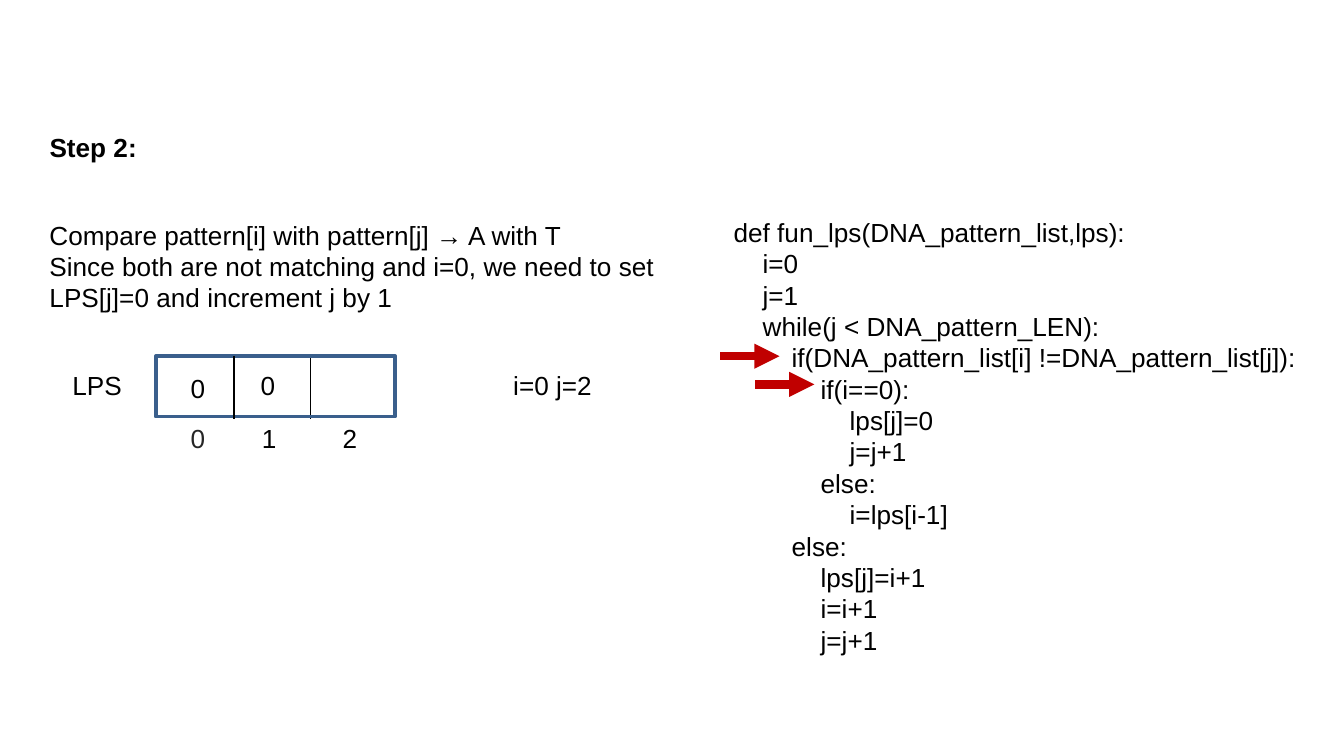
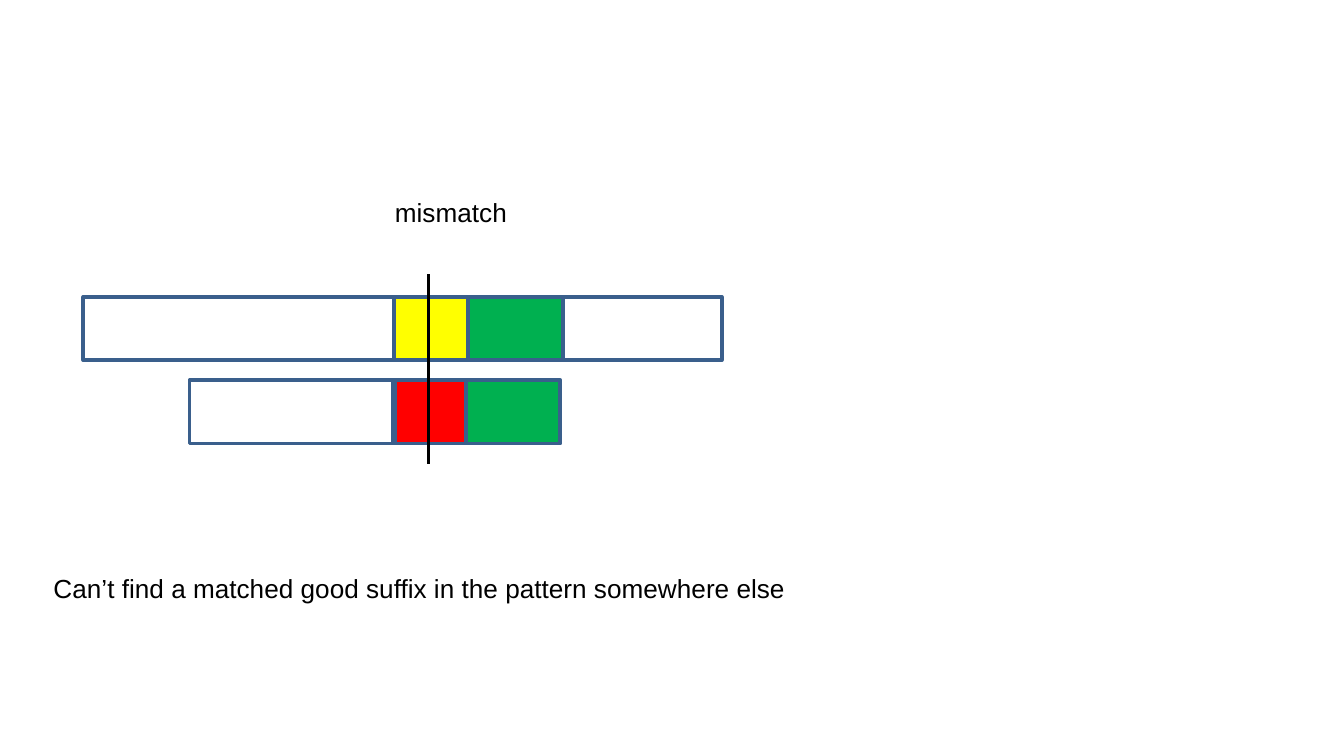
from dataclasses import dataclass
from typing import NamedTuple, Optional

import pptx
import pptx.dml.color
import pptx.enum.shapes
import pptx.enum.text
import pptx.oxml
import pptx.oxml.ns
import pptx.util

Inches = pptx.util.Inches
Pt = pptx.util.Pt


# Theme
@dataclass(frozen=True)
class Theme:
    font: str = "Arial"
    size: float = 14
    ink: str = "000000"
    soft_ink: str = "262626"
    outline: str = "3A5F8C"
    arrow: str = "C00000"
    mismatch_text: str = "FFFF00"
    mismatch_pattern: str = "FF0000"
    suffix: str = "00B050"
    outline_width: float = 2
    thin_width: float = 0.75
    marker_width: float = 1.5
    arrow_width: float = 4.5


THEME = Theme()
SLIDE_WIDTH = 10
SLIDE_HEIGHT = SLIDE_WIDTH * 9 / 16
LABEL_HEIGHT = 0.34


class Label(NamedTuple):
    left: float
    top: float
    width: float
    lines: tuple[str, ...]
    height: float = LABEL_HEIGHT
    wrap: bool = False
    bold: bool = False
    color: str = THEME.ink


class Block(NamedTuple):
    left: float
    width: float
    fill: Optional[str] = None


class Stroke(NamedTuple):
    start: tuple[float, float]
    end: tuple[float, float]
    color: str
    width: float
    arrow: bool = False


# Drawing functions
def rgb(color: str) -> pptx.dml.color.RGBColor:
    return pptx.dml.color.RGBColor.from_string(color)


def add_label(s, label: Label) -> None:
    sp = s.shapes.add_textbox(Inches(label.left), Inches(label.top),
                              Inches(label.width), Inches(label.height))
    tf = sp.text_frame
    tf.word_wrap = label.wrap
    tf.auto_size = pptx.enum.text.MSO_AUTO_SIZE.SHAPE_TO_FIT_TEXT
    for i, line in enumerate(label.lines):
        p = tf.paragraphs[0] if i == 0 else tf.add_paragraph()
        r = p.add_run()
        r.text = line
        r.font.name = THEME.font
        r.font.size = Pt(THEME.size)
        r.font.bold = label.bold
        r.font.color.rgb = rgb(label.color)


def add_block(s, block: Block, top: float, height: float) -> None:
    sp = s.shapes.add_shape(pptx.enum.shapes.MSO_SHAPE.RECTANGLE,
                            Inches(block.left), Inches(top),
                            Inches(block.width), Inches(height))
    sp.shadow.inherit = False
    if block.fill:
        sp.fill.solid()
        sp.fill.fore_color.rgb = rgb(block.fill)
    else:
        sp.fill.background()
    sp.line.color.rgb = rgb(THEME.outline)
    sp.line.width = Pt(THEME.outline_width)


def add_stroke(s, stroke: Stroke) -> None:
    (x1, y1), (x2, y2) = stroke.start, stroke.end
    sp = s.shapes.add_connector(pptx.enum.shapes.MSO_CONNECTOR.STRAIGHT,
                                Inches(x1), Inches(y1), Inches(x2), Inches(y2))
    sp.line.color.rgb = rgb(stroke.color)
    sp.line.width = Pt(stroke.width)
    if stroke.arrow:
        tail = pptx.oxml.parse_xml(
            f'<a:tailEnd {pptx.oxml.ns.nsdecls("a")} type="triangle"/>')
        sp.line._get_or_add_ln().append(tail)
    sp._element.spPr.append(
        pptx.oxml.parse_xml(f'<a:effectLst {pptx.oxml.ns.nsdecls("a")}/>'))


# Slide 1: LPS step
CODE = """def fun_lps(DNA_pattern_list,lps):
    i=0
    j=1
    while(j < DNA_pattern_LEN):
        if(DNA_pattern_list[i] !=DNA_pattern_list[j]):
            if(i==0):
                lps[j]=0
                j=j+1
            else:
                i=lps[i-1]
        else:
            lps[j]=i+1
            i=i+1
            j=j+1"""
VALUE_TOP, INDEX_TOP = 2.7, 3.09
ARROW_LENGTH = 0.44

STEP_LABELS = (
    Label(0.27, 1.58, 4.9, (
        "Compare pattern[i] with pattern[j] → A with T",
        "Since both are not matching and i=0, we need to set "
        "LPS[j]=0 and increment j by 1"), height=0.81, wrap=True),
    Label(3.72, VALUE_TOP, 0.79, ("i=0 j=2",)),
    Label(1.32, 2.72, 0.31, ("0",)),
    Label(0.44, VALUE_TOP, 0.57, ("LPS",)),
    Label(1.32, INDEX_TOP, 0.31, ("0",), color=THEME.soft_ink),
    Label(1.85, INDEX_TOP, 0.31, ("1",)),
    Label(2.45, INDEX_TOP, 0.31, ("2",)),
    Label(1.84, VALUE_TOP, 0.31, ("0",)),
    Label(5.36, 1.56, 4.65, tuple(CODE.splitlines()), height=3.4, wrap=True),
    Label(0.27, 0.93, 0.85, ("Step 2:",), bold=True),
)


def build_lps_step(s) -> None:
    def divider(x: float) -> Stroke:
        return Stroke((x, 2.65), (x, 3.12), THEME.ink, THEME.thin_width)

    add_stroke(s, divider(2.31))
    add_block(s, Block(1.16, 1.78), 2.65, 0.45)
    add_stroke(s, divider(1.74))
    for label in STEP_LABELS:
        add_label(s, label)
    for x, y in ((5.36, 2.65), (5.62, 2.86)):
        add_stroke(s, Stroke((x, y), (x + ARROW_LENGTH, y), THEME.arrow,
                             THEME.arrow_width, arrow=True))


# Slide 2: good suffix without another match
ROW_HEIGHT = 0.47
# Each row is listed from back to front
ROWS = {
    2.21: (Block(0.62, 2.31),
           Block(2.93, 0.55, THEME.mismatch_text),
           Block(3.48, 0.71, THEME.suffix),
           Block(4.19, 1.18)),
    2.83: (Block(3.46, 0.71, THEME.suffix),
           Block(2.92, 0.55, THEME.mismatch_pattern),
           Block(1.41, 1.53)),
}
SUFFIX_LABELS = (
    Label(2.84, 1.41, 1.04, ("mismatch",)),
    Label(0.3, 4.21, 5.67,
          ("Can’t find a matched good suffix in the pattern somewhere else",)),
)


def build_good_suffix(s) -> None:
    for top, blocks in ROWS.items():
        for block in blocks:
            add_block(s, block, top, ROW_HEIGHT)
    add_stroke(s, Stroke((3.19, 2.04), (3.19, 3.45), THEME.ink,
                         THEME.marker_width))
    for label in SUFFIX_LABELS:
        add_label(s, label)


def main() -> None:
    prs = pptx.Presentation()
    prs.slide_width, prs.slide_height = Inches(SLIDE_WIDTH), Inches(SLIDE_HEIGHT)
    for build in (build_lps_step, build_good_suffix):
        build(prs.slides.add_slide(prs.slide_layouts[6]))
    prs.save("out.pptx")


if __name__ == "__main__":
    main()
